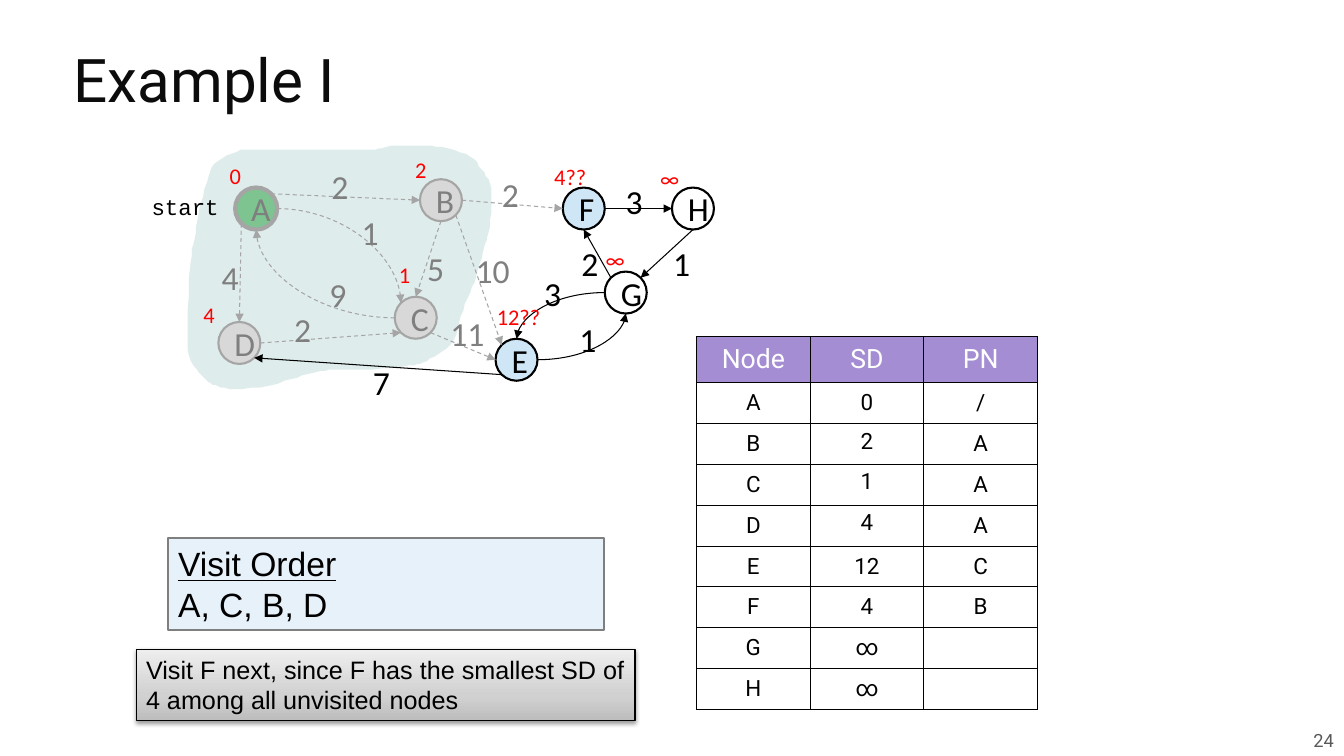
"""Build the shortest-path example slide."""
from dataclasses import dataclass
from math import cos, radians, sin

from lxml import etree
from pptx import Presentation
from pptx.dml.color import RGBColor
from pptx.enum import dml, shapes, text
from pptx.oxml import ns, parse_xml
from pptx.util import Pt


@dataclass(frozen=True)
class Theme:
    """Colours, fonts and type sizes."""
    black: str = "000000"
    ink: str = "0C0C0C"
    white: str = "FFFFFF"
    red: str = "FF0000"
    grey: str = "7F7F7F"
    edge: str = "A5A5A5"
    page: str = "595959"
    start: str = "7DC491"
    done: str = "D8D8D8"
    next: str = "CFE6F6"
    cloud: str = "DFECEC"
    head: str = "A48DD3"
    panel: str = "E7F1FA"
    shades: tuple = ((0, "BDBDBD"), (35, "D1D1D1"), (100, "EEEEEE"))
    sans: str = "Roboto"
    graph: str = "Calibri"
    plain: str = "Arial"
    mono: str = "Courier New"
    title: float = 43
    large: float = 24
    header: float = 19
    note: float = 18
    small: float = 16
    number: float = 13


T = Theme()
SIZE = 30
DONE = "ABCD"
CURVED = {"AC", "CA", "GE", "EG"}
NODES = {
    "A": (168, 134, T.start), "B": (300, 128, T.done),
    "C": (282, 212, T.done), "D": (156, 230, T.done),
    "E": (354, 242, T.next), "F": (402, 134, T.next),
    "G": (432, 194, None), "H": (480, 134, None),
}
EDGES = [
    ("AC", 6, 1, "1", 251.3, 147.6), ("CA", 2, 4, "9", 228.2, 192.2),
    ("GE", 2, 0, "3", 381.6, 191.5), ("EG", 6, 4, "1", 406.8, 223.9),
    ("AD", 3, 0, "4", 151.2, 180), ("DC", 6, 3, "2", 203, 217.4),
    ("AB", 7, 2, "2", 229.7, 115.2), ("BF", 6, 2, "2", 351.4, 121),
    ("FH", 6, 2, "3", 439.9, 126), ("GF", 1, 4, "2", 408.2, 169.9),
    ("HG", 4, 7, "1", 473.8, 169.9), ("BE", 5, 1, "10", 332.6, 175),
    ("BC", 4, 0, "5", 298.1, 173.5), ("CE", 5, 2, "11", 314.6, 220.3),
    ("ED", 3, 5, "7", 259.2, 254.9),
]
COSTS = [
    ("0", 157, 112.3), ("2", 289.4, 108), ("1", 277.9, 182.9),
    ("4", 138.2, 211.7), ("12??", 347.8, 213.1), ("4??", 388.8, 113),
    ("∞", 425.5, 172.1), ("∞", 464.4, 114.5),
]
ROWS = [
    ("Node", "SD", "PN"), ("A", "0", "/"), ("B", "2", "A"), ("C", "1", "A"),
    ("D", "4", "A"), ("E", "12", "C"), ("F", "4", "B"), ("G", "∞", ""), ("H", "∞", ""),
]
CLOUD = [
    (257, 107), (217, 107), (189, 107), (175, 107), (165, 110), (153, 117), (148, 130),
    (142, 152), (139, 171), (136, 189), (134, 232), (135, 254), (140, 263), (149, 273),
    (156, 276), (168, 278), (190, 276), (207, 271), (225, 266), (240, 264), (267, 264),
    (292, 261), (302, 259), (313, 253), (324, 243), (329, 226), (336, 209), (341, 194),
    (346, 176), (349, 166), (351, 147), (350, 131), (344, 121), (336, 112), (320, 106),
    (303, 104), (280, 104), (268, 107),
]


def paint(shape, fill, line=None, width=1.5):
    """Set the fill and outline of a shape and drop its shadow."""
    shape.shadow.inherit = False
    if fill:
        shape.fill.solid()
        shape.fill.fore_color.rgb = RGBColor.from_string(fill)
    else:
        shape.fill.background()
    if line:
        shape.line.color.rgb = RGBColor.from_string(line)
        shape.line.width = Pt(width)
    else:
        shape.line.fill.background()


def write(para, words, font, size, color, align="LEFT", under=None):
    """Add one styled run to a paragraph."""
    para.alignment = text.PP_ALIGN[align]
    run = para.add_run()
    run.text = words
    run.font.name, run.font.size = font, Pt(size)
    run.font.underline = under
    run.font.color.rgb = RGBColor.from_string(color)


def label(slide, words, box, font, size, color, align="LEFT", pad=(7.2, 3.6, 0, 3.6)):
    """Add a text box with one line of text."""
    frame = slide.shapes.add_textbox(*map(Pt, box)).text_frame
    frame.word_wrap = True
    frame.margin_left, frame.margin_top, frame.margin_right, frame.margin_bottom = map(Pt, pad)
    write(frame.paragraphs[0], words, font, size, color, align)
    return frame


def blob(slide):
    """Draw the smooth region around the visited nodes."""
    curve = []
    count = len(CLOUD)
    for i in range(count):
        a, b, c, d = (CLOUD[(i + k) % count] for k in (-1, 0, 1, 2))
        for t in (0, 0.25, 0.5, 0.75):
            curve.append(tuple(
                (2 * q + (r - p) * t + (2 * p - 5 * q + 4 * r - s) * t ** 2
                 + (3 * q - p - 3 * r + s) * t ** 3) / 2
                for p, q, r, s in zip(a, b, c, d)))
    pen = slide.shapes.build_freeform(*curve[0], scale=Pt(1))
    pen.add_line_segments(curve[1:], close=True)
    paint(pen.convert_to_shape(), T.cloud)


def node(slide, name):
    """Draw one graph node."""
    x, y, fill = NODES[name]
    dot = slide.shapes.add_shape(shapes.MSO_SHAPE.OVAL, Pt(x), Pt(y), Pt(SIZE), Pt(SIZE))
    paint(dot, fill, T.edge if name in DONE else T.black, 3 if name == "A" else 1.5)
    write(dot.text_frame.paragraphs[0], name, T.graph, T.large,
          T.grey if name in DONE else T.black, "CENTER")


def site(name, index):
    """Find one of the eight joints of a node, from the top leftwards."""
    x, y, _ = NODES[name]
    turn = radians(90 + 45 * index)
    half = SIZE / 2
    return Pt(x + half + half * cos(turn)), Pt(y + half - half * sin(turn))


def arrow(slide, pair, start, end):
    """Draw one directed edge."""
    bent = pair in CURVED
    kind = shapes.MSO_CONNECTOR.CURVE if bent else shapes.MSO_CONNECTOR.STRAIGHT
    link = slide.shapes.add_connector(kind, *site(pair[0], start), *site(pair[1], end))
    done = pair[0] in DONE
    link.line.color.rgb = RGBColor.from_string(T.edge if done else T.black)
    link.line.width = Pt(0.75)
    if done:
        link.line.dash_style = dml.MSO_LINE.DASH
    props = link._element.spPr
    if bent:
        props.find(ns.qn("a:prstGeom")).set("prst", "curvedConnector2")
    etree.SubElement(props.find(ns.qn("a:ln")), ns.qn("a:tailEnd"), type="triangle")
    etree.SubElement(props, ns.qn("a:effectLst"))


def border(cell):
    """Put a thin black line on each side of a cell."""
    props = cell._tc.get_or_add_tcPr()
    for spot, side in enumerate(("lnL", "lnR", "lnT", "lnB")):
        props.insert(spot, parse_xml(
            f'<a:{side} {ns.nsdecls("a")} w="{Pt(0.75)}"><a:solidFill>'
            f'<a:srgbClr val="{T.black}"/></a:solidFill></a:{side}>'))


def grid(slide):
    """Add the table of distances and previous nodes."""
    table = slide.shapes.add_table(
        len(ROWS), 3, Pt(497.5), Pt(240.4), Pt(243.6), Pt(262)).table
    table.first_row = table.horz_banding = False
    for col in table.columns:
        col.width = Pt(81.2)
    for r, row in enumerate(ROWS):
        table.rows[r].height = Pt(28.8 if r else 32)
        for c, words in enumerate(row):
            cell = table.cell(r, c)
            high = c == 1 and 2 <= r <= 4
            cell.vertical_anchor = text.MSO_ANCHOR.TOP if high else text.MSO_ANCHOR.MIDDLE
            cell.margin_left = cell.margin_right = Pt(5)
            cell.margin_top = cell.margin_bottom = Pt((3.6 if high else 5) if words else 0)
            if r:
                cell.fill.background()
            else:
                cell.fill.solid()
                cell.fill.fore_color.rgb = RGBColor.from_string(T.head)
            border(cell)
            if words:
                write(cell.text_frame.paragraphs[0], words, T.sans,
                      T.small if r else T.header, T.black if r else T.white, "CENTER")


def panel(slide, box, lines, size, fill, line, width):
    """Add a box of left-aligned lines, each with its underline flag."""
    shape = slide.shapes.add_shape(shapes.MSO_SHAPE.RECTANGLE, *map(Pt, box))
    paint(shape, fill, line, width)
    frame = shape.text_frame
    frame.vertical_anchor = text.MSO_ANCHOR.TOP
    for i, (words, under) in enumerate(lines):
        para = frame.add_paragraph() if i else frame.paragraphs[0]
        write(para, words, T.plain, size, T.black, under=under)
    return shape


def shade(shape):
    """Give a shape an upward gradient and a soft shadow."""
    props = shape._element.spPr
    stops = "".join(f'<a:gs pos="{p * 1000}"><a:srgbClr val="{c}"/></a:gs>' for p, c in T.shades)
    props.replace(props.find(ns.qn("a:solidFill")), parse_xml(
        f'<a:gradFill {ns.nsdecls("a")} rotWithShape="1"><a:gsLst>{stops}</a:gsLst>'
        '<a:lin ang="16200000" scaled="0"/></a:gradFill>'))
    props.find(ns.qn("a:effectLst")).append(parse_xml(
        f'<a:outerShdw {ns.nsdecls("a")} blurRad="{Pt(3.1)}" dist="{Pt(1.6)}" dir="5400000" '
        f'rotWithShape="0"><a:srgbClr val="{T.black}"><a:alpha val="38000"/></a:srgbClr>'
        '</a:outerShdw>'))


def heading(slide, words):
    """Place and fill the title."""
    title = slide.shapes.title
    title.left, title.top, title.width, title.height = map(Pt, (45.4, 20.9, 880.6, 79.9))
    frame = title.text_frame
    frame.auto_size = text.MSO_AUTO_SIZE.NONE
    frame.vertical_anchor = text.MSO_ANCHOR.MIDDLE
    frame.paragraphs[0].line_spacing = 0.8
    write(frame.paragraphs[0], words, T.sans, T.title, T.ink)


def main():
    """Build and save the slide."""
    deck = Presentation()
    deck.slide_width, deck.slide_height = Pt(960), Pt(540)
    slide = deck.slides.add_slide(deck.slide_layouts[5])
    number = label(slide, "24", (622.8, 511.9, 337, 33), T.sans, T.number, T.page,
                   "RIGHT", (7.2,) * 4)
    number.vertical_anchor = text.MSO_ANCHOR.MIDDLE
    blob(slide)
    heading(slide, "Example I")
    for name in NODES:
        node(slide, name)
    for pair, start, end, *_ in EDGES:
        arrow(slide, pair, start, end)
    for pair, _, _, cost, x, y in EDGES:
        label(slide, cost, (x, y, 39, 36), T.graph, T.large,
              T.grey if pair[0] in DONE else T.black)
    for cost, x, y in COSTS:
        label(slide, cost, (x, y, 46, 26.6), T.graph, T.small, T.red)
    label(slide, "start", (89.3, 128.2, 76.3, 37.4), T.mono, T.small, T.black,
          "RIGHT", (9.4,) * 4)
    grid(slide)
    panel(slide, (120.2, 384.5, 311, 65.5), [("Visit Order", True), ("A, C, B, D", None)],
          T.large, T.panel, T.grey, 1.5)
    shade(panel(slide, (97.2, 463.7, 356.4, 51), [
        ("Visit F next, since F has the smallest SD of 4 among all unvisited nodes", None)],
        T.note, T.white, T.black, 0.75))
    deck.save("out.pptx")


if __name__ == "__main__":
    main()
